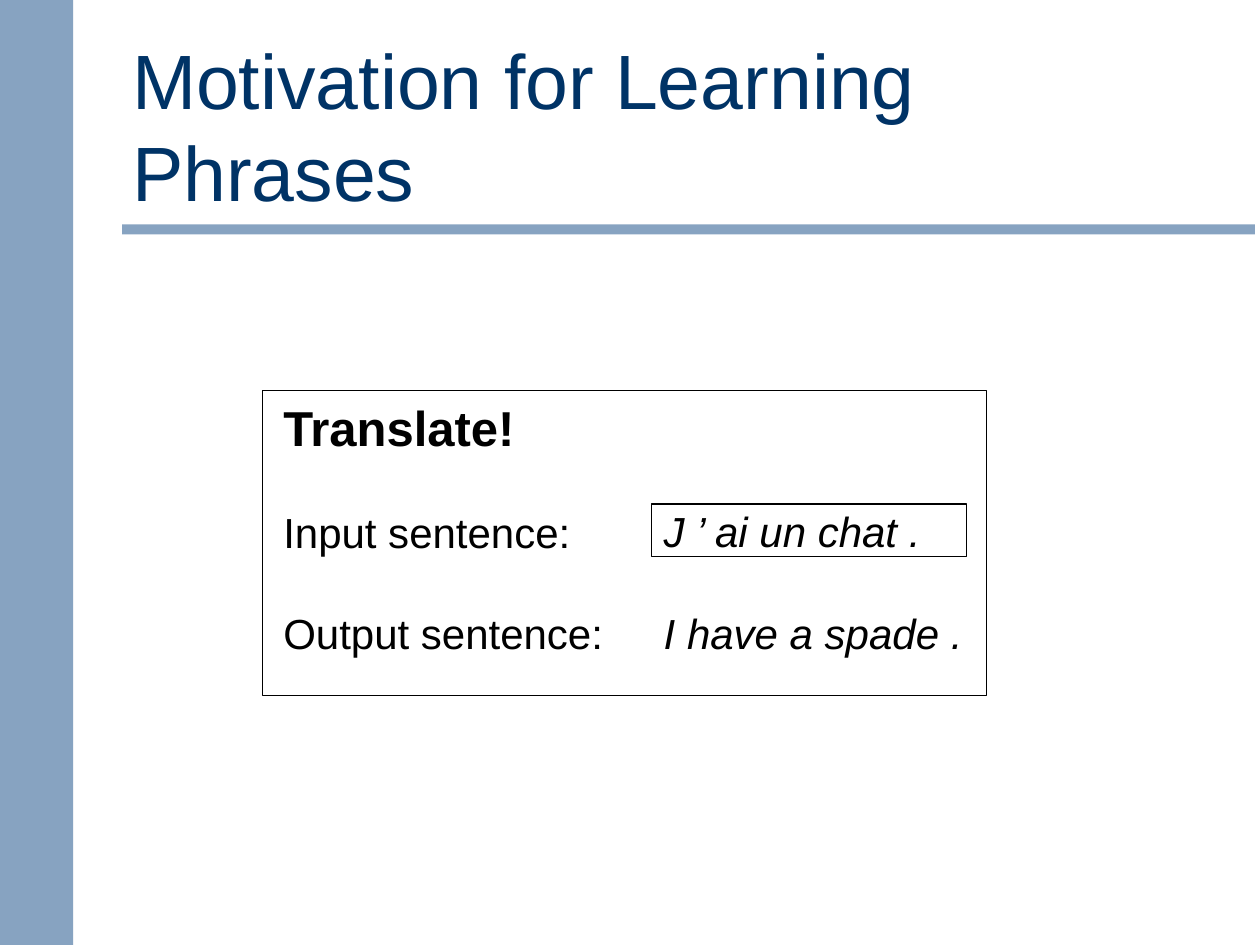
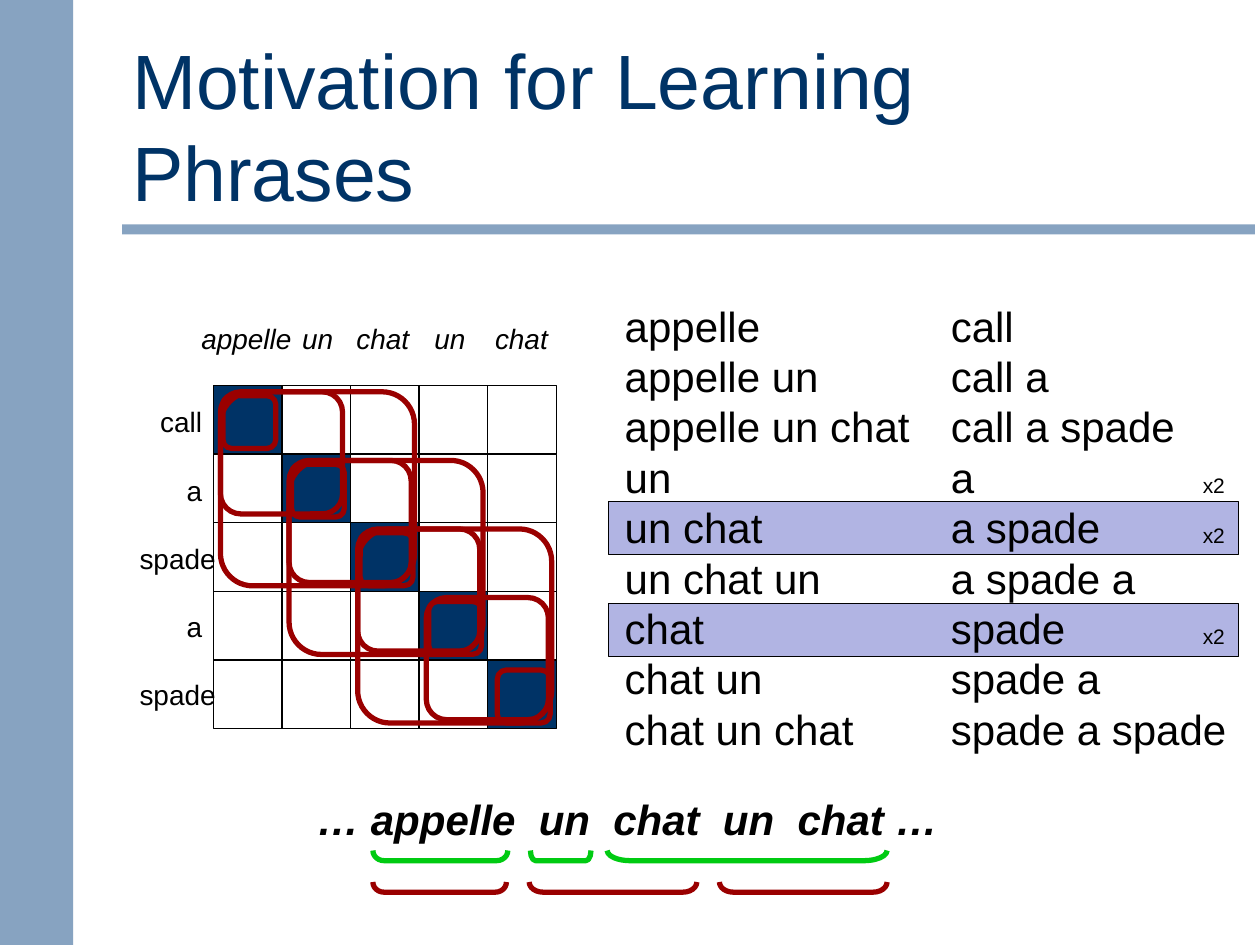
import pptx
import pptx.util
import pptx.dml.color
import pptx.enum.shapes
import pptx.enum.text
import pptx.oxml.ns
import lxml.etree

Pt = pptx.util.Pt
SHAPES = pptx.enum.shapes.MSO_SHAPE
ALIGN = pptx.enum.text.PP_ALIGN
ANCHOR = pptx.enum.text.MSO_ANCHOR
qn = pptx.oxml.ns.qn

colours = {
    "band": "6C8EB3",
    "navy": "003366",
    "white": "FFFFFF",
    "black": "000000",
    "highlight": "B1B4E3",
    "red": "9A0000",
    "green": "00CB12",
}


def add_figure(page, kind, left, top, width, height, fill=None, line=None, weight=0.75):
    figure = page.shapes.add_shape(kind, Pt(left), Pt(top), Pt(width), Pt(height))
    figure.shadow.inherit = False
    if fill:
        figure.fill.solid()
        figure.fill.fore_color.rgb = pptx.dml.color.RGBColor.from_string(colours[fill])
    else:
        figure.fill.background()
    if line:
        figure.line.color.rgb = pptx.dml.color.RGBColor.from_string(colours[line])
        figure.line.width = Pt(weight)
    else:
        figure.line.fill.background()
    return figure


def add_text(page, left, top, width, height, text, size, colour="black",
             bold=False, italic=False, align=ALIGN.LEFT, wrap=False):
    box = page.shapes.add_textbox(Pt(left), Pt(top), Pt(width), Pt(height))
    frame = box.text_frame
    frame.word_wrap = wrap
    frame.text = text
    for para in frame.paragraphs:
        para.alignment = align
        for span in para.runs:
            span.font.name = "Arial"
            span.font.size = Pt(size)
            span.font.bold = bold
            span.font.italic = italic
            span.font.color.rgb = pptx.dml.color.RGBColor.from_string(colours[colour])
    return box


deck = pptx.Presentation()
deck.slide_width = Pt(720)
deck.slide_height = Pt(540)

pages = []
for number in range(2):
    page = deck.slides.add_slide(deck.slide_layouts[6])
    for left, top, width, height in [(69.8, 128.2, 647.3, 5.8), (0, 0, 41.8, 540)]:
        band = add_figure(page, SHAPES.RECTANGLE, left, top, width, height, "band")
        tint = band.fill._xPr.find(qn("a:solidFill"))[0]
        lxml.etree.SubElement(tint, qn("a:alpha")).set("val", "81000")
    title = add_text(page, 68.4, 41.8, 585.4, 85.7,
                     "Motivation for Learning Phrases", 44, "navy", wrap=True)
    title.text_frame.vertical_anchor = ANCHOR.BOTTOM
    pages.append(page)
example, phrases = pages

add_figure(example, SHAPES.RECTANGLE, 149.8, 223.2, 414, 174.2, "white", "black")
prompt = add_text(example, 154.8, 223.4, 200, 185,
                  "Translate!\nInput sentence:\nOutput sentence:", 24)
heading, *labels = prompt.text_frame.paragraphs
heading.runs[0].font.size = Pt(28)
heading.runs[0].font.bold = True
for para in labels:
    para.space_before = Pt(29)
for top, sentence in [(285.1, "J ’ ai un chat ."), (343.4, "I have a spade .")]:
    add_text(example, 372.2, top, 190, 36, sentence, 24, italic=True)
add_figure(example, SHAPES.RECTANGLE, 372.2, 288, 180, 30.2, line="black")

for top in (286.6, 344.9):
    add_figure(phrases, SHAPES.RECTANGLE, 347.8, top, 360, 30.2, "highlight", "black")

cell = 39.2
for row in range(5):
    for column in range(5):
        fill = "navy" if row == column else "white"
        add_figure(phrases, SHAPES.RECTANGLE, 121.9 + column * cell, 220.3 + row * cell,
                   cell, cell, fill, "black")

french = ["appelle", "un", "chat", "un", "chat"]
french_lefts = [108, 165.6, 196.6, 241.2, 275.8]
for left, word in zip(french_lefts, french):
    add_text(phrases, left, 180, 72, 26.6, word, 16, italic=True)
for row, word in enumerate(["call", "a", "spade", "a", "spade"]):
    right = 130.3 if word == "spade" else 122.6
    add_text(phrases, right - 72, 227.9 + row * 38.9, 72, 26.6, word, 16,
             align=ALIGN.RIGHT, wrap=True)

for words, left, top, size in [(1, 127.4, 226.1, 30.2), (2, 126, 223.9, 69.8),
                               (3, 126, 223.9, 110.9)]:
    for start in range(6 - words):
        add_figure(phrases, SHAPES.ROUNDED_RECTANGLE, left + start * cell,
                   top + start * cell, size, size, line="red", weight=3)

pairs = [
    ("appelle", "call", ""),
    ("appelle un", "call a", ""),
    ("appelle un chat", "call a spade", ""),
    ("un", "a", "x2"),
    ("un chat", "a spade", "x2"),
    ("un chat un", "a spade a", ""),
    ("chat", "spade", "x2"),
    ("chat un", "spade a", ""),
    ("chat un chat", "spade a spade", ""),
]
add_text(phrases, 349.9, 168, 182, 266.4, "\n".join(pair[0] for pair in pairs), 24)
english = add_text(phrases, 536.2, 168, 182, 266.4,
                   "\n".join(pair[1] for pair in pairs), 24)
for para, (source, target, count) in zip(english.text_frame.paragraphs, pairs):
    if count:
        para.runs[0].text = target + "\t"
        span = para.add_run()
        span.text = count
        span.font.name = "Arial"
        span.font.size = Pt(12)
        span.font.color.rgb = pptx.dml.color.RGBColor.from_string(colours["black"])
        stops = lxml.etree.SubElement(para._p.get_or_add_pPr(), qn("a:tabLst"))
        stop = lxml.etree.SubElement(stops, qn("a:tab"))
        stop.set("pos", str(Pt(144)))
        stop.set("algn", "l")

add_text(phrases, 174.2, 450, 400, 36, "… appelle  un  chat  un  chat …", 24,
         bold=True, italic=True)
depth = 5.8
brackets = [
    ("red", 504, [(213.1, 289.4), (302.4, 398.2), (411.1, 506.9)]),
    ("green", 486, [(213.1, 290.2), (303.1, 337.7), (347, 506.9)]),
]
for colour, top, extents in brackets:
    for start, end in extents:
        length = end - start
        bracket = add_figure(phrases, SHAPES.LEFT_BRACKET, (start + end - depth) / 2,
                             top + (depth - length) / 2, depth, length,
                             line=colour, weight=3)
        bracket.rotation = 270
        bracket.adjustments[0] = length / 12 / depth

deck.save("out.pptx")
